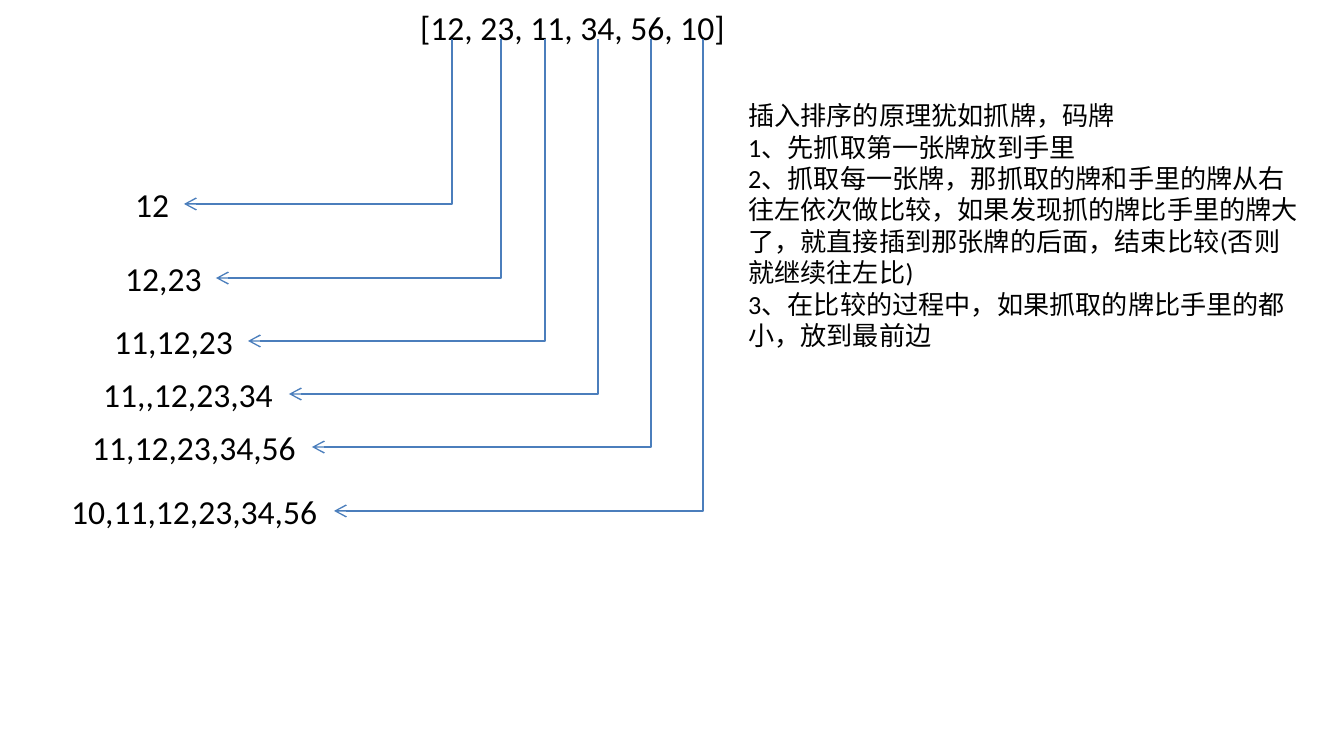
"""Build the insertion sort slide with its hand of cards after every draw."""
from typing import NamedTuple

from pptx import Presentation
from pptx.dml.color import RGBColor
from pptx.enum.shapes import MSO_CONNECTOR
from pptx.enum.text import MSO_AUTO_SIZE
from pptx.oxml.ns import qn
from pptx.slide import Slide
from pptx.util import Emu, Pt

ELBOW = MSO_CONNECTOR.ELBOW
GROW = MSO_AUTO_SIZE.SHAPE_TO_FIT_TEXT
BLACK = RGBColor(0x00, 0x00, 0x00)
BLUE = RGBColor(0x4B, 0x7E, 0xBC)
EMU_PER_PIXEL = 914400 / 134.4
ROW_HEIGHT = 54
DROP_TOP = 39
QUARTER_TURN = "5400000"


class Box(NamedTuple):
    left: int
    top: int
    width: int
    height: int


class Draw(NamedTuple):
    hand: str
    left: int
    width: int
    middle: int
    card_x: int


DRAWS = [
    Draw("12", 122, 62, 204, 452),
    Draw("12,23", 112, 104, 278, 501),
    Draw("11,12,23", 101, 147, 341, 545),
    Draw("11,,12,23,34", 90, 199, 394, 598),
    Draw("11,12,23,34,56", 79, 233, 447, 651),
    Draw("10,11,12,23,34,56", 58, 276, 511, 703),
]
PRINCIPLE = [
    "插入排序的原理犹如抓牌，码牌",
    "1、先抓取第一张牌放到手里",
    "2、抓取每一张牌，那抓取的牌和手里的牌从右往左依次做比较，"
    "如果发现抓的牌比手里的牌大了，就直接插到那张牌的后面，结束比较(否则就继续往左比)",
    "3、在比较的过程中，如果抓取的牌比手里的都小，放到最前边",
]


def px(pixels: float) -> Emu:
    """Turn pixels into EMU."""
    return Emu(round(pixels * EMU_PER_PIXEL))


def add_text(slide: Slide, lines: list[str], box: Box, size: int, wrap: bool) -> None:
    """Write one paragraph per line in a growing text box."""
    frame = slide.shapes.add_textbox(*map(px, box)).text_frame
    for name, value in {"word_wrap": wrap, "auto_size": GROW, "text": "\n".join(lines)}.items():
        setattr(frame, name, value)
    for paragraph in frame.paragraphs:
        font = paragraph.runs[0].font
        for name, value in {"name": "Calibri", "size": Pt(size)}.items():
            setattr(font, name, value)
        font.color.rgb = BLACK


def add_arrow(slide: Slide, draw: Draw) -> None:
    """Lead from the drawn card down and left to the hand."""
    hand_right = draw.left + draw.width
    drop, run = draw.middle - DROP_TOP, draw.card_x - hand_right
    left = (draw.card_x + hand_right - drop) / 2
    top = (draw.middle + DROP_TOP - run) / 2
    arrow = slide.shapes.add_connector(
        ELBOW, px(left), px(top), px(left + drop), px(top + run)
    )
    arrow.line.color.rgb = BLUE
    arrow.line.width = Pt(0.75)
    properties = arrow._element.spPr
    properties.find(qn("a:xfrm")).set("rot", QUARTER_TURN)
    properties.find(qn("a:prstGeom")).set("prst", "bentConnector2")
    outline = properties.find(qn("a:ln"))
    head = outline.makeelement(qn("a:tailEnd"), {"type": "arrow"})
    outline.append(head)
    properties.append(properties.makeelement(qn("a:effectLst"), {}))


def build() -> None:
    """Assemble and save the slide."""
    deck = Presentation()
    deck.slide_width, deck.slide_height = px(1344), px(756)
    slide = deck.slides.add_slide(deck.slide_layouts[6])
    add_text(slide, ["[12, 23, 11, 34, 56, 10]"], Box(407, 0, 336, ROW_HEIGHT), 18, False)
    add_text(slide, PRINCIPLE, Box(735, 93, 582, 268), 14, True)
    for draw in DRAWS:
        row = Box(draw.left, draw.middle - ROW_HEIGHT // 2, draw.width, ROW_HEIGHT)
        add_text(slide, [draw.hand], row, 18, False)
        add_arrow(slide, draw)
    deck.save("out.pptx")


build()
